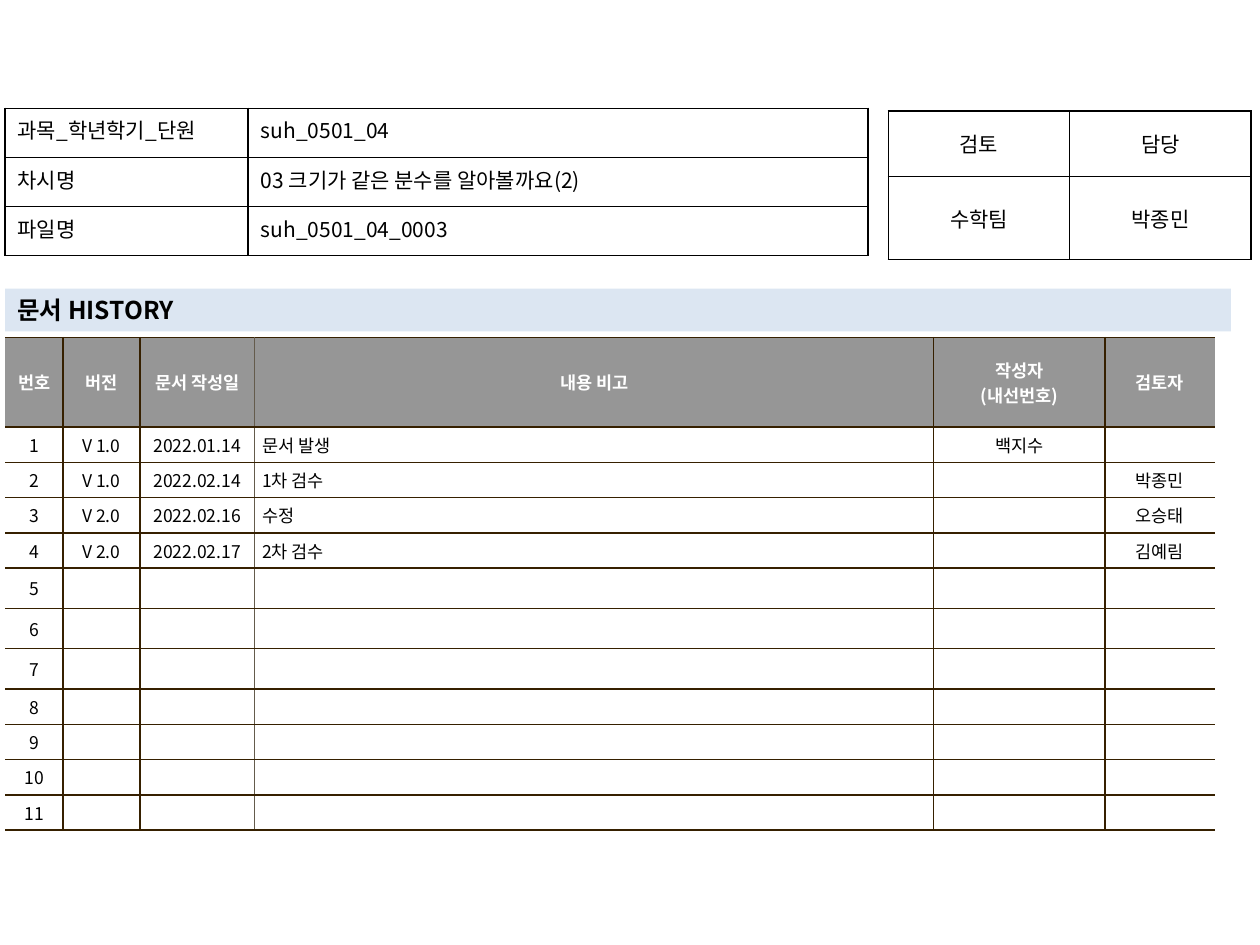
from lxml import etree
from pptx import Presentation
from pptx.dml.color import RGBColor
from pptx.enum import shapes, text
from pptx.oxml.ns import qn
from pptx.util import Inches, Pt

FONT = "Noto Sans CJK KR"
COLORS = {"black": "000000", "white": "FFFFFF", "header": "969696", "band": "DCE6F2",
          "brown": "362000", "taupe": "645B4C"}
LEFT, CENTER, JUSTIFY = text.PP_ALIGN.LEFT, text.PP_ALIGN.CENTER, text.PP_ALIGN.JUSTIFY
TOP, MIDDLE = text.MSO_ANCHOR.TOP, text.MSO_ANCHOR.MIDDLE

LESSON = [
    ("과목_학년학기_단원 ", "suh_0501_04"),
    ("차시명", "03 크기가 같은 분수를 알아볼까요(2)"),
    ("파일명", "suh_0501_04_0003"),
]
REVIEW = [("검토", "담당"), ("수학팀", "박종민")]
HISTORY_HEADER = ("번호", "버전", "문서 작성일", "내용 비고", "작성자\n(내선번호)", "검토자")
HISTORY_ENTRIES = [
    ("V 1.0", "2022.01.14", "문서 발생", "백지수", ""),
    ("V 1.0", "2022.02.14", "1차 검수", "", "박종민"),
    ("V 2.0", "2022.02.16", "수정", "", "오승태"),
    ("V 2.0", "2022.02.17", "2차 검수", "", "김예림"),
]
ENTRY_COUNT = 11
NOTE_COLUMN = 3


def rgb(name):
    return RGBColor.from_string(COLORS[name])


def write(frame, content, color="black", align=LEFT, **font_format):
    frame.text = content
    for paragraph in frame.paragraphs:
        paragraph.alignment = align
        for run in paragraph.runs:
            for key, value in {"name": FONT, **font_format}.items():
                setattr(run.font, key, value)
            run.font.color.rgb = rgb(color)
            etree.SubElement(run.font._element, qn("a:ea"), typeface=FONT)
        if not paragraph.runs:
            end = etree.SubElement(paragraph._p, qn("a:endParaRPr"))
            end.set("sz", str(int(font_format["size"].pt * 100)))


def set_borders(cell, borders):
    properties = cell._tc.get_or_add_tcPr()
    for side in "LRTB":
        line = etree.SubElement(properties, qn(f"a:ln{side}"), w=str(Pt(1)))
        if borders[side]:
            fill = etree.SubElement(line, qn("a:solidFill"))
            etree.SubElement(fill, qn("a:srgbClr"), val=COLORS[borders[side]])
        else:
            etree.SubElement(line, qn("a:noFill"))


def add_table(slide, left, top, widths, heights):
    table = slide.shapes.add_table(
        len(heights), len(widths), Inches(left), Inches(top),
        Inches(sum(widths)), Inches(sum(heights))).table
    table.first_row = table.horz_banding = False
    for column, width in zip(table.columns, widths):
        column.width = Inches(width)
    for row, height in zip(table.rows, heights):
        row.height = Inches(height)
    return table


def set_margins(cell, horizontal, vertical):
    cell.margin_left = cell.margin_right = Inches(horizontal)
    cell.margin_top = cell.margin_bottom = Inches(vertical)


def add_form(slide, left, top, widths, heights, rows, aligns, anchor):
    table = add_table(slide, left, top, widths, heights)
    for r, row in enumerate(rows):
        for c, content in enumerate(row):
            cell = table.cell(r, c)
            set_borders(cell, dict.fromkeys("LRTB", "black"))
            cell.fill.background()
            set_margins(cell, 0.1, 0.05)
            cell.vertical_anchor = anchor
            write(cell.text_frame, content, align=aligns[c], size=Pt(12))


def add_history(slide):
    blank = ("",) * (len(HISTORY_HEADER) - 1)
    entries = HISTORY_ENTRIES + [blank] * (ENTRY_COUNT - len(HISTORY_ENTRIES))
    rows = [HISTORY_HEADER] + [(str(n), *entry) for n, entry in enumerate(entries, 1)]
    heights = [0.71] + [0.28] * 4 + [0.32] * 3 + [0.28] * 4
    table = add_table(slide, 0.04, 2.68, [0.46, 0.61, 0.91, 5.39, 1.36, 0.87], heights)
    edges = [None, "brown", "brown", "taupe", "brown", "brown", None]
    for r, row in enumerate(rows):
        header = r == 0
        for c, content in enumerate(row):
            cell = table.cell(r, c)
            set_borders(cell, {"L": edges[c], "R": edges[c + 1], "T": "brown", "B": "brown"})
            cell.fill.solid()
            cell.fill.fore_color.rgb = rgb("header" if header else "white")
            set_margins(cell, 0.06, 0.04)
            cell.vertical_anchor = MIDDLE
            note = c == NOTE_COLUMN and not header
            write(cell.text_frame, content, "white" if header else "black",
                  LEFT if note else CENTER, size=Pt(10), bold=header)
            if note:
                indent = cell.text_frame.paragraphs[0]._p.get_or_add_pPr()
                indent.set("marL", str(Inches(0.19)))
                indent.set("indent", str(-Inches(0.19)))


def add_heading(slide):
    heading = slide.shapes.add_shape(shapes.MSO_SHAPE.RECTANGLE, Inches(0.04), Inches(2.29),
                                     Inches(9.73), Inches(0.34))
    heading.shadow.inherit = False
    heading.fill.solid()
    heading.fill.fore_color.rgb = rgb("band")
    heading.line.fill.background()
    heading.text_frame.word_wrap = True
    heading.text_frame.vertical_anchor = MIDDLE
    write(heading.text_frame, "문서 HISTORY", size=Pt(14), bold=True)


def main():
    presentation = Presentation()
    presentation.slide_width, presentation.slide_height = Inches(10), Inches(7.5)
    slide = presentation.slides.add_slide(presentation.slide_layouts[6])
    add_history(slide)
    add_form(slide, 7.05, 0.88, [1.44, 1.44], [0.52, 0.66], REVIEW, [CENTER, CENTER], MIDDLE)
    add_heading(slide)
    add_form(slide, 0.04, 0.86, [1.93, 4.92], [0.39] * 3, LESSON, [JUSTIFY, LEFT], TOP)
    presentation.save("out.pptx")


if __name__ == "__main__":
    main()
